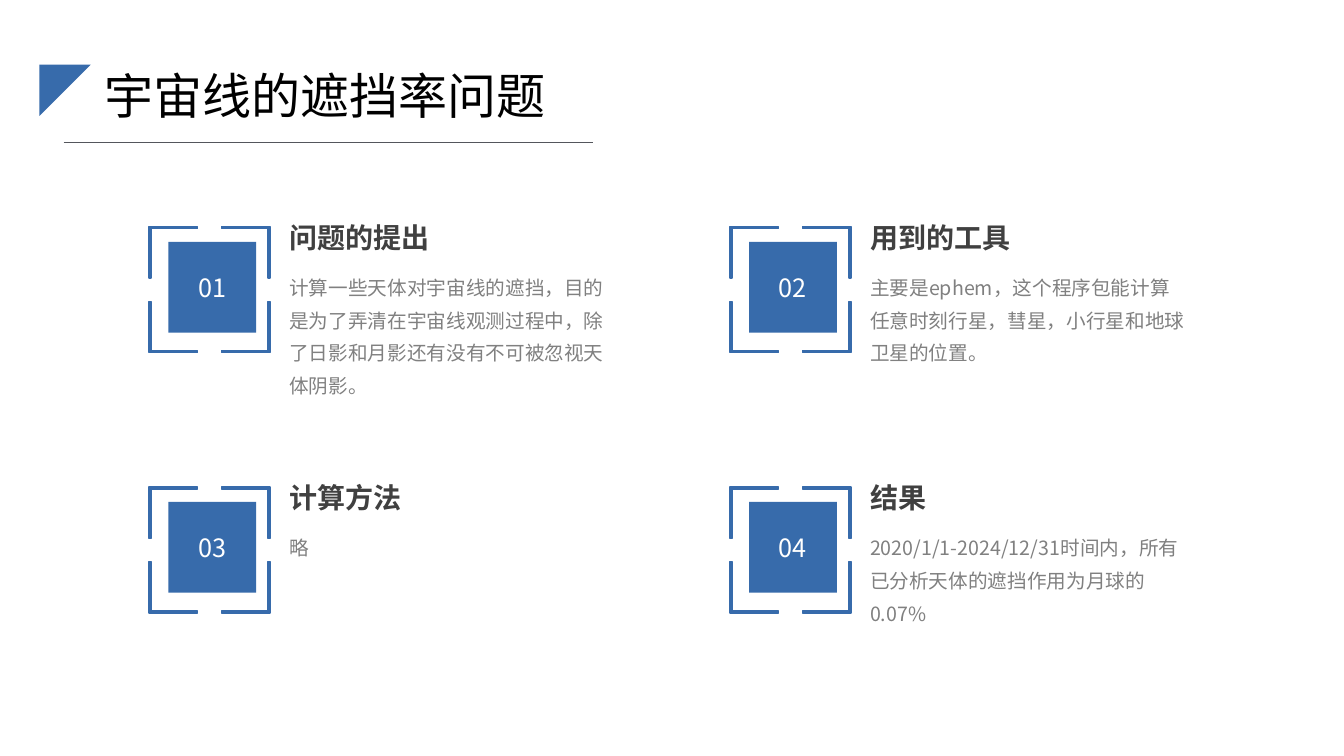
"""Build the overview slide: a title and four numbered topics in a grid."""
from lxml import etree
from pptx import Presentation
from pptx.dml.color import RGBColor
from pptx.enum.shapes import MSO_CONNECTOR as CONN, MSO_SHAPE as SHAPE
from pptx.enum.text import MSO_ANCHOR as ANCHOR, PP_ALIGN as ALIGN
from pptx.oxml.ns import qn
from pptx.util import Inches, Pt

BLUE = RGBColor(0x37, 0x6B, 0xAB)
WHITE = RGBColor(0xFF, 0xFF, 0xFF)
BLACK = RGBColor(0, 0, 0)
DARK = RGBColor(0x40, 0x40, 0x40)
GRAY = RGBColor(0x80, 0x80, 0x80)
RULE = RGBColor(0x54, 0x56, 0x5C)
FONT = "Noto Sans CJK SC"

TOPICS = [
    ("问题的提出", "计算一些天体对宇宙线的遮挡，目的是为了弄清在宇宙线观测过程中，"
     "除了日影和月影还有没有不可被忽视天体阴影。"),
    ("用到的工具", "主要是ephem，这个程序包能计算任意时刻行星，彗星，小行星和地球卫星的位置。"),
    ("计算方法", "略"),
    ("结果", "2020/1/1-2024/12/31时间内，所有已分析天体的遮挡作用为月球的0.07%"),
]
LEFT, TOP = 1.48, 2.25
COL_STEP, ROW_STEP = 5.76, 2.58
FRAME_W, FRAME_H = 1.2, 1.25
ARM_W, ARM_H, THICK = 0.48, 0.51, 0.02


def write(sp, text, size, color, align=ALIGN.LEFT, anchor=ANCHOR.TOP, inset=None, bold=False):
    tf = sp.text_frame
    tf.word_wrap = True
    tf.vertical_anchor = anchor
    if inset is not None:
        for side in ("left", "top", "right", "bottom"):
            setattr(tf, f"margin_{side}", Inches(inset))
    p = tf.paragraphs[0]
    p.alignment = align
    r = p.add_run()
    r.text = text
    for name, value in {"name": FONT, "size": Pt(size), "bold": bold}.items():
        setattr(r.font, name, value)
    r.font.color.rgb = color
    etree.SubElement(r.font._element, qn("a:ea"), typeface=FONT)
    return p


def paint(sp, line_width=None):
    sp.shadow.inherit = False
    sp.fill.solid()
    sp.fill.fore_color.rgb = BLUE
    if line_width is None:
        sp.line.fill.background()
    else:
        sp.line.color.rgb = BLUE
        sp.line.width = Pt(line_width)


prs = Presentation()
prs.slide_width, prs.slide_height = Inches(13.33), Inches(7.5)
s = prs.slides.add_slide(prs.slide_layouts[6])

for i, (heading, body) in enumerate(TOPICS):
    row, col = divmod(i, 2)
    x, y = LEFT + col * COL_STEP, TOP + row * ROW_STEP
    group = s.shapes.add_group_shape().shapes

    badge = group.add_shape(SHAPE.RECTANGLE, Inches(x + 0.19), Inches(y + 0.15), Inches(0.87), Inches(0.9))
    paint(badge)
    write(badge, f"{i + 1:02d}", 18, WHITE, ALIGN.CENTER, ANCHOR.MIDDLE)

    builder = None
    for cx, dx in ((x, 1), (x + FRAME_W, -1)):
        for cy, dy in ((y, 1), (y + FRAME_H, -1)):
            outline = [(0, 0), (ARM_W, 0), (ARM_W, THICK), (THICK, THICK), (THICK, ARM_H), (0, ARM_H)]
            points = [(Inches(cx + dx * u), Inches(cy + dy * v)) for u, v in outline]
            if builder is None:
                builder = group.build_freeform(*points[0])
            else:
                builder.move_to(*points[0])
            builder.add_line_segments(points[1:], close=True)
    paint(builder.convert_to_shape(), 1)

    box = group.add_textbox(Inches(x + 1.39), Inches(y - 0.15), Inches(3.13), Inches(0.51))
    write(box, heading, 20, DARK, anchor=ANCHOR.MIDDLE, inset=0, bold=True)
    box = group.add_textbox(Inches(x + 1.39), Inches(y + 0.39), Inches(3.13), Inches(1.27))
    write(box, body, 14, GRAY, inset=0).line_spacing = 1.4

corner = s.shapes.add_shape(SHAPE.RIGHT_TRIANGLE, Inches(0.39), Inches(0.64), Inches(0.51), Inches(0.51))
corner.rotation = 90
paint(corner)

title = s.shapes.add_textbox(Inches(0.39), Inches(0.6), Inches(5.67), Inches(0.77))
write(title, "宇宙线的遮挡率问题", 35, BLACK, ALIGN.CENTER)

rule = s.shapes.add_connector(CONN.STRAIGHT, Inches(0.63), Inches(1.41), Inches(5.88), Inches(1.41))
rule.line.color.rgb = RULE
rule.line.width = Pt(0.5)
etree.SubElement(rule._element.spPr, qn("a:effectLst"))

prs.save("out.pptx")
